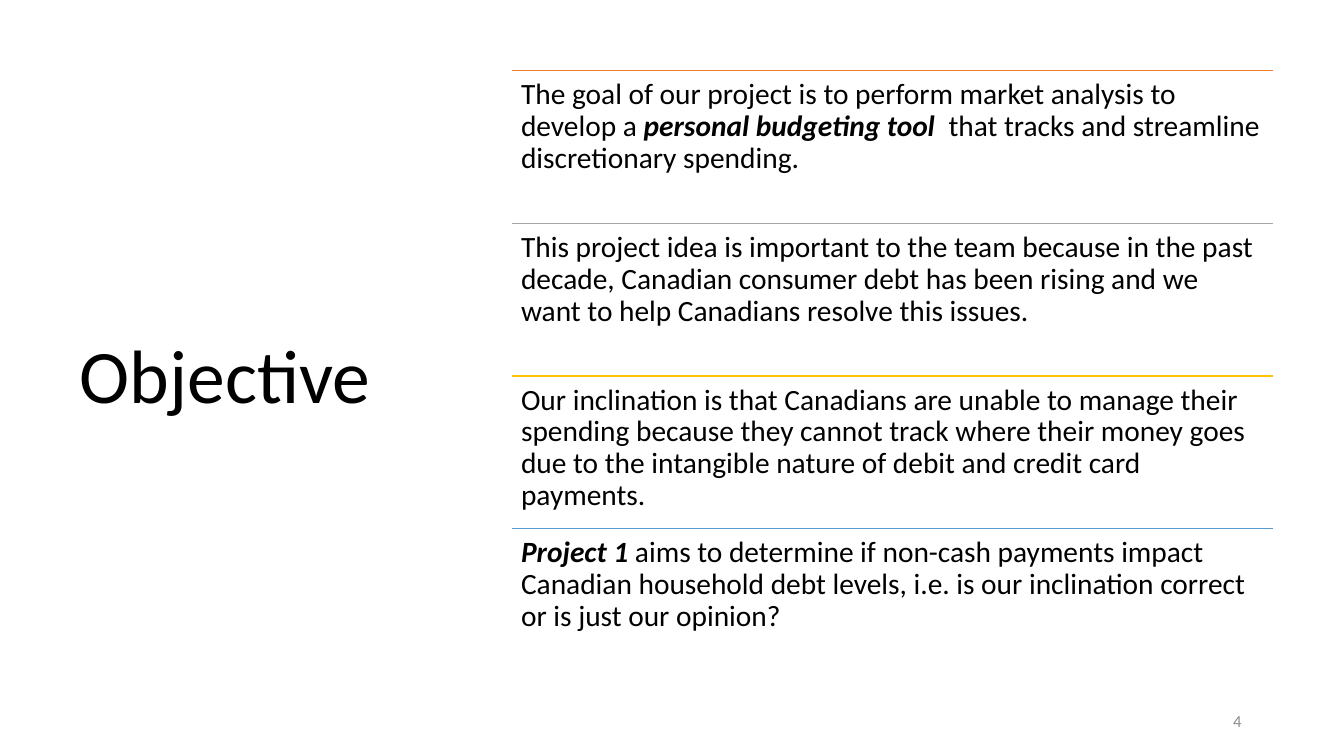
from lxml import etree
from pptx import Presentation
from pptx.dml.color import RGBColor
from pptx.enum.shapes import MSO_CONNECTOR
from pptx.enum.text import MSO_ANCHOR, PP_ALIGN
from pptx.oxml.ns import qn
from pptx.util import Pt

STRAIGHT = MSO_CONNECTOR.STRAIGHT
TOP, MIDDLE = MSO_ANCHOR.TOP, MSO_ANCHOR.MIDDLE
LEFT, RIGHT = PP_ALIGN.LEFT, PP_ALIGN.RIGHT

# Content: each statement is a rule colour and (text, emphasized) runs
HEADING = "Objective"
PAGE_NUMBER = "4"
STATEMENTS = [
    ("ED7D31", [
        ("The goal of our project is to perform market analysis to develop a ", False),
        ("personal budgeting tool  ", True),
        ("that tracks and streamline discretionary spending.", False),
    ]),
    ("A5A5A5", [
        ("This project idea is important to the team because in the past decade, "
         "Canadian consumer debt has been rising and we want to help Canadians "
         "resolve this issues.", False),
    ]),
    ("FFC000", [
        ("Our inclination is that Canadians are unable to manage their spending "
         "because they cannot track where their money goes due to the intangible "
         "nature of debit and credit card payments.", False),
    ]),
    ("5B9BD5", [
        ("Project 1", True),
        (" aims to determine if non-cash payments impact Canadian household debt "
         "levels, i.e. is our inclination correct or is just our opinion?", False),
    ]),
]

# Layout in points
SLIDE_WIDTH, SLIDE_HEIGHT = 960, 540
LIST_LEFT, LIST_TOP, LIST_WIDTH = 365.9, 50.5, 543.6
ROW_HEIGHT = 109


def color(hex_code):
    return RGBColor.from_string(hex_code)


def add_text(slide, runs, left, top, width, height, *, size, ink="000000",
             anchor=TOP, align=LEFT, spacing=1.0, inset_x=7.2, inset_y=3.6):
    frame = slide.shapes.add_textbox(Pt(left), Pt(top), Pt(width), Pt(height)).text_frame
    frame.word_wrap = True
    frame.vertical_anchor = anchor
    frame.margin_left = frame.margin_right = Pt(inset_x)
    frame.margin_top = frame.margin_bottom = Pt(inset_y)
    paragraph = frame.paragraphs[0]
    paragraph.alignment = align
    paragraph.line_spacing = spacing
    for words, emphasized in runs:
        run = paragraph.add_run()
        run.text = words
        font = run.font
        font.name, font.size = "Calibri", Pt(size)
        font.bold = font.italic = emphasized
        font.color.rgb = color(ink)


def add_rule(slide, left, top, width, ink):
    rule = slide.shapes.add_connector(
        STRAIGHT, Pt(left), Pt(top), Pt(left + width), Pt(top))
    rule.line.color.rgb = color(ink)
    rule.line.width = Pt(1)
    etree.SubElement(rule._element.spPr, qn("a:effectLst"))


def main():
    deck = Presentation()
    deck.slide_width, deck.slide_height = Pt(SLIDE_WIDTH), Pt(SLIDE_HEIGHT)
    blank = deck.slide_layouts[6]
    slide = deck.slides.add_slide(blank)

    # Heading
    add_text(slide, [(HEADING, False)], 50, 50.5, 269, 440,
             size=54, anchor=MIDDLE, spacing=0.9)

    # Statements, each under its coloured rule
    for row, (rule_color, runs) in enumerate(STATEMENTS):
        top = LIST_TOP + row * ROW_HEIGHT
        add_rule(slide, LIST_LEFT, top, LIST_WIDTH, rule_color)
        add_text(slide, runs, LIST_LEFT, top, LIST_WIDTH, ROW_HEIGHT,
                 size=21, spacing=0.9, inset_x=6.3, inset_y=6.3)

    # Page number
    add_text(slide, [(PAGE_NUMBER, False)], 678, 500.5, 216, 28.8,
             size=12, ink="8C8C8C", anchor=MIDDLE, align=RIGHT)

    deck.save("out.pptx")


if __name__ == "__main__":
    main()
